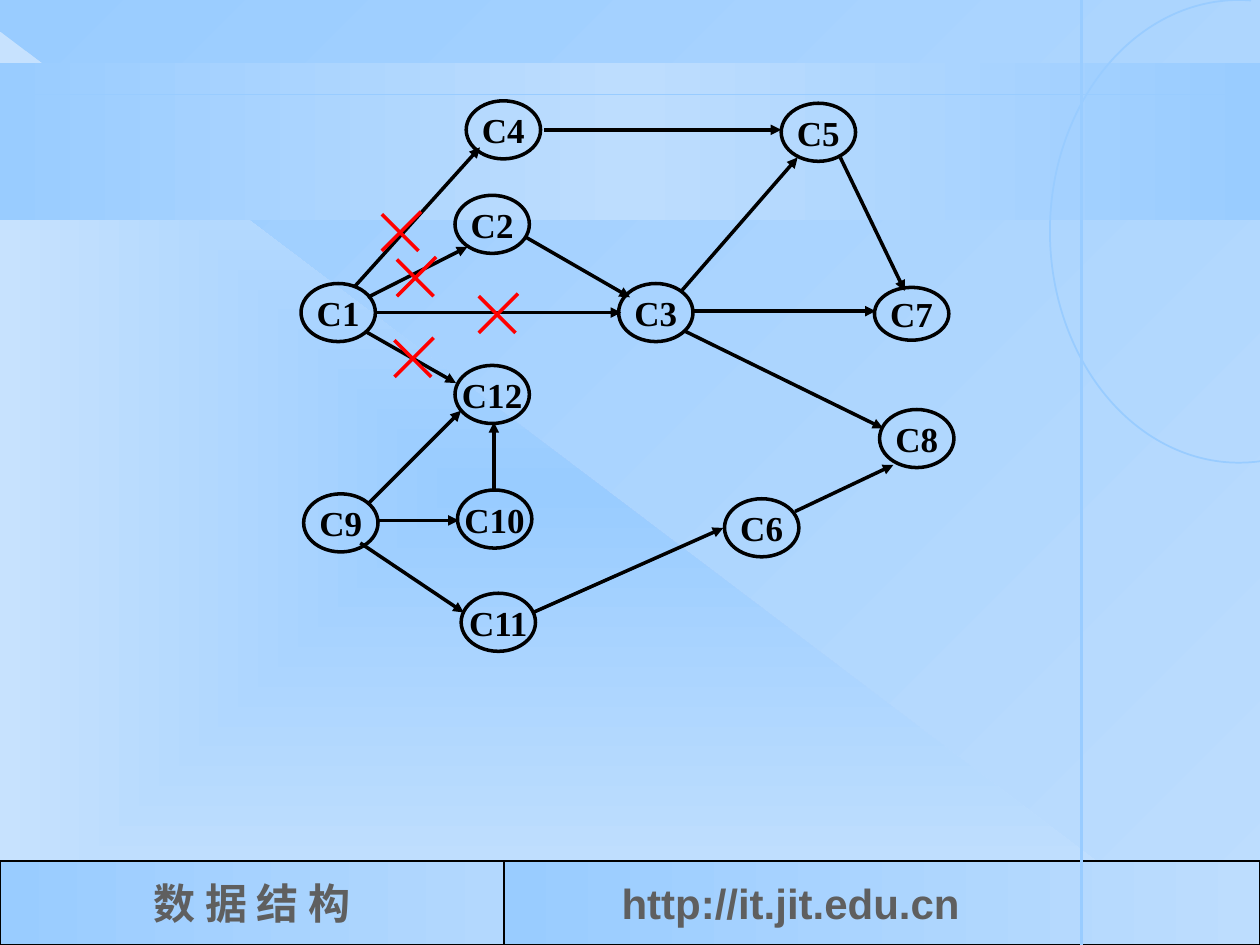
import pptx
import pptx.dml.color
import pptx.enum.shapes
import pptx.enum.text
import pptx.oxml.ns
import pptx.util
from lxml import etree

Pt = pptx.util.Pt
qn = pptx.oxml.ns.qn
SHAPE = pptx.enum.shapes.MSO_SHAPE
ALIGN = pptx.enum.text.PP_ALIGN

COLOURS = {
    "sky": "99CCFF", "pale": "BDDDFE", "mist": "C7E2FE", "haze": "B3D8FE",
    "ink": "000000", "footer": "5F5F5F", "cross": "FF0000",
}
SLIDE_W, SLIDE_H = 720, 540
FOOTER_TOP, FOOTER_H = 492, 48
COURSE_W = 288
NODE_W, NODE_H = 42.5, 33.2
CROSS = 21

# Left and top of each course; C7 is a little flatter than the rest
COURSES = {
    "C1": (172, 162), "C2": (260, 111.6), "C3": (353.5, 162),
    "C4": (266.4, 57.6), "C5": (446.4, 59), "C6": (414, 285),
    "C7": (499.7, 164.2), "C8": (502.6, 234), "C9": (173.5, 282.2),
    "C10": (261.4, 280), "C11": (263.5, 339), "C12": (260, 208.8),
}
HEIGHTS = {"C7": 30.2}

PREREQUISITES = [
    (214.6, 178.6, 355, 178.6),      # C1 to C3
    (210.2, 169.9, 267.1, 141.1),    # C1 to C2
    (300.2, 135.4, 360, 169.9),      # C2 to C3
    (203, 163.4, 274.3, 84.2),       # C1 to C4
    (311, 74.2, 446.4, 74.2),        # C4 to C5
    (388.8, 167, 455.8, 90),         # C3 to C5
    (396, 177.8, 500.4, 177.8),      # C3 to C7
    (480.2, 90, 517, 166.3),         # C5 to C7
    (208.8, 189.4, 260.6, 218.9),    # C1 to C12
    (210.2, 288, 263.5, 234.7),      # C9 to C12
    (216.7, 297.4, 262.1, 297.4),    # C9 to C10
    (282.2, 280, 282.2, 241.2),      # C10 to C12
    (205.9, 310.3, 265, 350),        # C9 to C11
    (304.6, 350, 413.3, 301.7),      # C11 to C6
    (454.3, 292.3, 510.5, 265.7),    # C6 to C8
    (391.7, 189.4, 504.7, 244.8),    # C3 to C8
]
REMOVED = [(218.2, 122.4), (226.8, 148.3), (273.6, 169.2), (225.4, 194.4)]


def rgb(name):
    return pptx.dml.color.RGBColor.from_string(COLOURS[name])


def apply_gradient(fill, owner, names, angle=None):
    """Spread the colours evenly, along an angle or outwards from the centre."""
    fill.gradient()
    gradient = next(owner.iter(qn("a:gradFill")))
    for child in list(gradient):
        gradient.remove(child)
    stops = etree.SubElement(gradient, qn("a:gsLst"))
    for i, name in enumerate(names):
        position = round(100000 * i / (len(names) - 1))
        stop = etree.SubElement(stops, qn("a:gs"), pos=str(position))
        etree.SubElement(stop, qn("a:srgbClr"), val=COLOURS[name])
    if angle is None:
        centre = etree.SubElement(gradient, qn("a:path"))
        centre.set("path", "rect")
        etree.SubElement(centre, qn("a:fillToRect"),
                         l="50000", t="50000", r="50000", b="50000")
    else:
        etree.SubElement(gradient, qn("a:lin"), ang=str(angle * 60000), scaled="0")


def add_figure(shapes, kind, box, gradient=None, angle=None, line=None, width=1):
    figure = shapes.add_shape(kind, *map(Pt, box))
    figure.shadow.inherit = False
    if gradient:
        apply_gradient(figure.fill, figure.element, gradient, angle)
    else:
        figure.fill.background()
    if line:
        figure.line.color.rgb = rgb(line)
        figure.line.width = Pt(width)
    else:
        figure.line.fill.background()
    return figure


def add_line(shapes, ends, colour, width, arrow=False):
    line = shapes.add_connector(pptx.enum.shapes.MSO_CONNECTOR.STRAIGHT,
                                *map(Pt, ends))
    line.line.color.rgb = rgb(colour)
    line.line.width = Pt(width)
    properties = line.element.spPr
    if arrow:
        etree.SubElement(properties.find(qn("a:ln")), qn("a:tailEnd"), type="triangle")
    etree.SubElement(properties, qn("a:effectLst"))


def write(figure, text, size, font, colour, align=ALIGN.CENTER, indent=7.2, wrap=False):
    frame = figure.text_frame
    frame.word_wrap = wrap
    frame.vertical_anchor = pptx.enum.text.MSO_ANCHOR.MIDDLE
    frame.margin_left = Pt(indent)
    paragraph = frame.paragraphs[0]
    paragraph.alignment = align
    run = paragraph.add_run()
    run.text = text
    run.font.size = Pt(size)
    run.font.name = font
    run.font.bold = True
    run.font.color.rgb = rgb(colour)


def add_backdrop(slide):
    apply_gradient(slide.background.fill, slide.element, ["pale", "sky"], 225)
    shapes = slide.shapes
    add_figure(shapes, SHAPE.RIGHT_TRIANGLE, (0, 18, 690, 522), ["sky", "mist"])
    add_figure(shapes, SHAPE.RECTANGLE, (0, 36, SLIDE_W, 90),
               ["sky", "pale", "sky"], 180)

    course = add_figure(shapes, SHAPE.RECTANGLE, (0, FOOTER_TOP, COURSE_W, FOOTER_H),
                        ["haze", "sky"], 180, "ink", 1.5)
    write(course, "数 据 结 构", 24, "Times New Roman", "footer")
    address = add_figure(shapes, SHAPE.RECTANGLE,
                         (COURSE_W, FOOTER_TOP, SLIDE_W - COURSE_W, FOOTER_H),
                         ["sky", "pale"], 0, "ink", 1.5)
    write(address, "http://it.jit.edu.cn", 24, "Arial", "footer",
          ALIGN.LEFT, 67.2, True)

    add_line(shapes, (0, 54, SLIDE_W, 54), "sky", 1)
    add_line(shapes, (618, 0, 618, SLIDE_H), "sky", 1.5)
    arc = add_figure(shapes, SHAPE.ARC, (600, 0, 216, 264.4), line="sky")
    # Angles clockwise from the right, in units of 5/3 degree
    arc.adjustments[0] = 80 * 0.6
    arc.adjustments[1] = 273 * 0.6


def add_course_graph(slide):
    graph = slide.shapes.add_group_shape().shapes
    for course, (left, top) in COURSES.items():
        box = (left, top, NODE_W, HEIGHTS.get(course, NODE_H))
        node = add_figure(graph, SHAPE.OVAL, box, line="ink", width=2)
        write(node, course, 20, "Times New Roman", "ink")
    for ends in PREREQUISITES:
        add_line(graph, ends, "ink", 2, arrow=True)

    crosses = slide.shapes.add_group_shape().shapes
    for x, y in REMOVED:
        add_line(crosses, (x, y, x + CROSS, y + CROSS), "cross", 2)
        add_line(crosses, (x + CROSS + 1.4, y - 1.4, x, y + CROSS), "cross", 2)


def main():
    deck = pptx.Presentation()
    deck.slide_width, deck.slide_height = Pt(SLIDE_W), Pt(SLIDE_H)
    slide = deck.slides.add_slide(deck.slide_layouts[6])
    add_backdrop(slide)
    add_course_graph(slide)
    deck.save("out.pptx")


if __name__ == "__main__":
    main()
